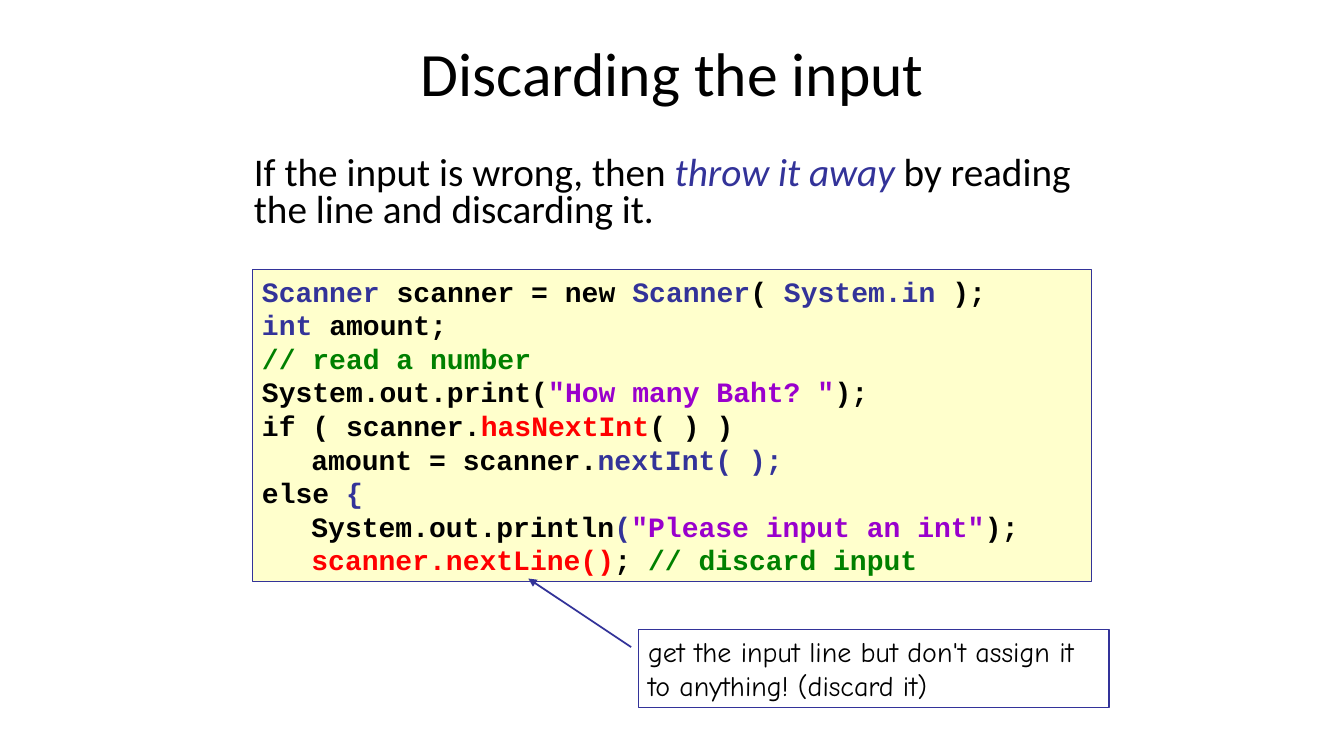
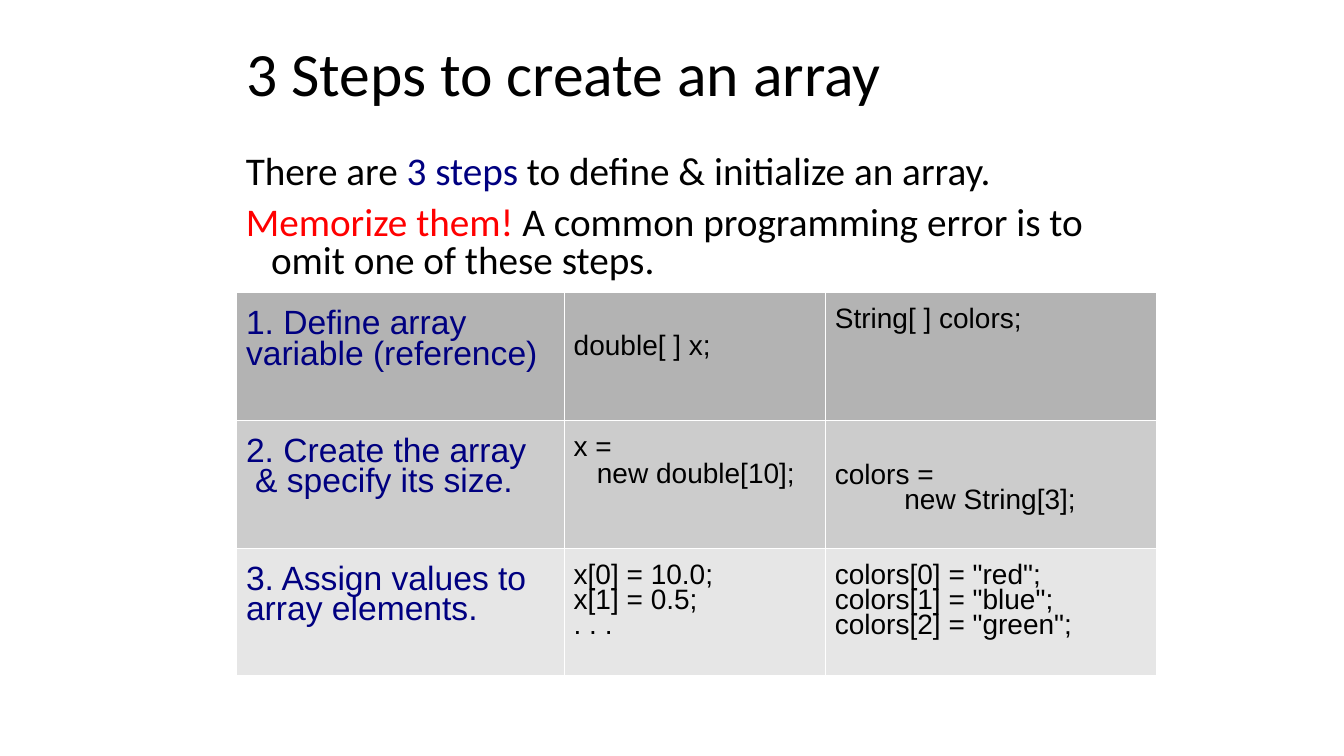
import dataclasses
import typing

import pptx
import pptx.dml.color
import pptx.enum.shapes
import pptx.enum.text
import pptx.oxml.ns
import pptx.slide
import pptx.text.text
import pptx.util
from lxml import etree

INK = {
    "black": "000000", "white": "FFFFFF", "blue": "333399", "navy": "000080",
    "red": "FF0000", "green": "008000", "purple": "9900CC", "cream": "FFFFCC",
}
ROW_FILLS = ("B3B3B3", "CCCCCC", "E6E6E6")
ALIGN = pptx.enum.text.PP_ALIGN
ANCHOR = pptx.enum.text.MSO_ANCHOR


class Bit(typing.NamedTuple):
    text: str
    ink: str = "black"
    slant: bool = False


@dataclasses.dataclass
class Line:
    bits: list[Bit]
    left: float = 0
    first: float = 0
    gap: float = 0


@dataclasses.dataclass
class Style:
    font: str
    size: float
    bold: bool = False
    pitch: float = 1.0
    align: ALIGN = ALIGN.LEFT


@dataclasses.dataclass
class Box:
    left: float
    top: float
    width: float
    height: float

    def spans(self) -> list[pptx.util.Length]:
        return [pptx.util.Inches(n) for n in dataclasses.astuple(self)]


@dataclasses.dataclass
class Cell:
    lines: list[Line]
    inset: float = 0.16


BODY = Style("Calibri", 28, pitch=0.8)
CODE = Style("Courier New", 20, bold=True)
NOTE = Style("Comic Neue", 20)
STEP = Style("Arial", 24, pitch=0.81)
SAMPLE = Style("Arial", 20, pitch=0.81)
TITLE_BOX = Box(2.34, 0.28, 8.66, 0.95)


def paint(code: str) -> pptx.dml.color.RGBColor:
    return pptx.dml.color.RGBColor.from_string(code)


def plain(text: str, ink: str = "black", **place: float) -> Line:
    return Line([Bit(text, ink)], **place)


def assign(target: object, values: dict[str, typing.Any]) -> None:
    for name, value in values.items():
        setattr(target, name, value)


# Text
def write(frame: pptx.text.text.TextFrame, lines: list[Line], style: Style) -> None:
    for rank, line in enumerate(lines):
        para = frame.add_paragraph() if rank else frame.paragraphs[0]
        props = para._p.get_or_add_pPr()
        props.set("marL", str(pptx.util.Inches(line.left)))
        props.set("indent", str(pptx.util.Inches(line.first)))
        assign(para, {
            "alignment": style.align, "line_spacing": style.pitch,
            "space_before": pptx.util.Pt(line.gap),
        })
        for bit in line.bits:
            run = para.add_run()
            run.text = bit.text
            assign(run.font, {
                "name": style.font, "size": pptx.util.Pt(style.size),
                "bold": style.bold, "italic": bit.slant,
            })
            run.font.color.rgb = paint(INK[bit.ink])


def start(deck: pptx.presentation.Presentation, text: str,
          align: ALIGN = ALIGN.LEFT) -> pptx.slide.Slide:
    slide = deck.slides.add_slide(deck.slide_layouts[5])
    title = slide.shapes.title
    names = ("left", "top", "width", "height")
    assign(title, dict(zip(names, TITLE_BOX.spans())))
    title.text_frame.vertical_anchor = ANCHOR.MIDDLE
    write(title.text_frame, [plain(text)], Style("Calibri", 44, pitch=0.9, align=align))
    return slide


def add_text(slide: pptx.slide.Slide, box: Box, lines: list[Line]) -> None:
    frame = slide.shapes.add_textbox(*box.spans()).text_frame
    frame.word_wrap = True
    write(frame, lines, BODY)


# Shapes
def add_panel(slide: pptx.slide.Slide, box: Box, fill: str,
              lines: list[Line], style: Style) -> None:
    kind = pptx.enum.shapes.MSO_SHAPE.RECTANGLE
    panel = slide.shapes.add_shape(kind, *box.spans())
    panel.shadow.inherit = False
    panel.fill.solid()
    panel.fill.fore_color.rgb = paint(INK[fill])
    panel.line.color.rgb = paint(INK["blue"])
    panel.line.width = pptx.util.Pt(0.75)
    assign(panel.text_frame, {"word_wrap": True, "vertical_anchor": ANCHOR.TOP})
    write(panel.text_frame, lines, style)


def add_arrow(slide: pptx.slide.Slide, *ends: float) -> None:
    kind = pptx.enum.shapes.MSO_CONNECTOR.STRAIGHT
    arrow = slide.shapes.add_connector(kind, *map(pptx.util.Inches, ends))
    arrow.line.color.rgb = paint(INK["blue"])
    arrow.line.width = pptx.util.Pt(1.25)
    props = arrow._element.spPr
    tip = etree.SubElement(props.find(pptx.oxml.ns.qn("a:ln")),
                           pptx.oxml.ns.qn("a:tailEnd"))
    tip.set("type", "triangle")
    etree.SubElement(props, pptx.oxml.ns.qn("a:effectLst"))


# Table
def add_edges(cell: typing.Any) -> None:
    props = cell._tc.get_or_add_tcPr()
    for side in "LRTB":
        edge = etree.SubElement(props, pptx.oxml.ns.qn(f"a:ln{side}"), w="762")
        fill = etree.SubElement(edge, pptx.oxml.ns.qn("a:solidFill"))
        etree.SubElement(fill, pptx.oxml.ns.qn("a:srgbClr"), val=INK["white"])


def add_grid(slide: pptx.slide.Slide, box: Box, widths: tuple[float, ...],
             rows: list[list[Cell]]) -> None:
    grid = slide.shapes.add_table(len(rows), len(widths), *box.spans()).table
    assign(grid, {"first_row": False, "horz_banding": False})
    for column, width in zip(grid.columns, widths):
        column.width = pptx.util.Inches(width)
    for row, items, fill in zip(grid.rows, rows, ROW_FILLS):
        for rank, (cell, item) in enumerate(zip(row.cells, items)):
            add_edges(cell)
            cell.fill.solid()
            cell.fill.fore_color.rgb = paint(fill)
            cell.margin_top = pptx.util.Inches(item.inset)
            write(cell.text_frame, item.lines, SAMPLE if rank else STEP)


def build_discard(deck: pptx.presentation.Presentation) -> None:
    slide = start(deck, "Discarding the input", ALIGN.CENTER)
    add_text(slide, Box(2.42, 1.5, 8.5, 0.92), [Line([
        Bit("If the input is wrong, then "),
        Bit("throw it away", "blue", True),
        Bit(" by reading the line and discarding it."),
    ])])
    add_panel(slide, Box(6.33, 6.25, 4.67, 0.77), "white", [
        plain("get the input line but don't assign it to anything! (discard it)"),
    ], NOTE)
    tab = 0.49
    add_panel(slide, Box(2.5, 2.67, 8.33, 3.1), "cream", [
        Line([Bit("Scanner ", "blue"), Bit("scanner = new "), Bit("Scanner", "blue"),
              Bit("("), Bit(" System.in ", "blue"), Bit(");")]),
        Line([Bit("int ", "blue"), Bit("amount;")]),
        plain("// read a number", "green"),
        Line([Bit("System.out.print("), Bit('"How many Baht? "', "purple"), Bit(");")]),
        Line([Bit("if ( scanner."), Bit("hasNextInt", "red"), Bit("( ) )")]),
        Line([Bit("amount = scanner."), Bit("nextInt( );", "blue")], tab),
        Line([Bit("else"), Bit(" {", "blue")]),
        Line([Bit("System.out.println"), Bit("(", "blue"),
              Bit('"Please input an int"', "purple"), Bit(");")], tab),
        Line([Bit("scanner.nextLine()", "red"), Bit("; "),
              Bit("// discard input", "green")], tab),
    ], CODE)
    add_arrow(slide, 6.26, 6.42, 5.24, 5.74)


def build_steps(deck: pptx.presentation.Presentation) -> None:
    slide = start(deck, "3 Steps to create an array")
    hang = {"left": 0.25, "first": -0.25}
    add_text(slide, Box(2.34, 1.49, 8.66, 1.41), [
        Line([Bit("There are "), Bit("3 steps", "navy"),
              Bit(" to define & initialize an array.")], **hang),
        Line([Bit("Memorize them!", "red"),
              Bit(" A common programming error is to omit one of these steps.")],
             gap=10, **hang),
    ])
    add_grid(slide, Box(2.34, 2.9, 9.13, 3.8), (3.25, 2.59, 3.29), [
        [
            Cell([plain("1. Define array variable (reference)", "navy")], 0.18),
            Cell([plain("double[ ] x;")], 0.43),
            Cell([plain("String[ ] colors;")]),
        ],
        [
            Cell([plain("2. Create the array", "navy"),
                  plain("& specify its size.", "navy", left=0.09)], 0.18),
            Cell([plain("x ="), plain("new double[10];", left=0.23, gap=1.1)]),
            Cell([plain("colors ="), plain("new String[3];", left=0.69)], 0.44),
        ],
        [
            Cell([plain("3. Assign values to array elements.", "navy")], 0.18),
            Cell([plain(text) for text in ("x[0] = 10.0;", "x[1] = 0.5;", ". . .")]),
            Cell([plain(f'colors[{rank}] = "{name}";')
                  for rank, name in enumerate(("red", "blue", "green"))]),
        ],
    ])


def main() -> None:
    deck = pptx.Presentation()
    deck.slide_width = pptx.util.Inches(13.33)
    deck.slide_height = pptx.util.Inches(7.5)
    build_discard(deck)
    build_steps(deck)
    deck.save("out.pptx")


if __name__ == "__main__":
    main()
